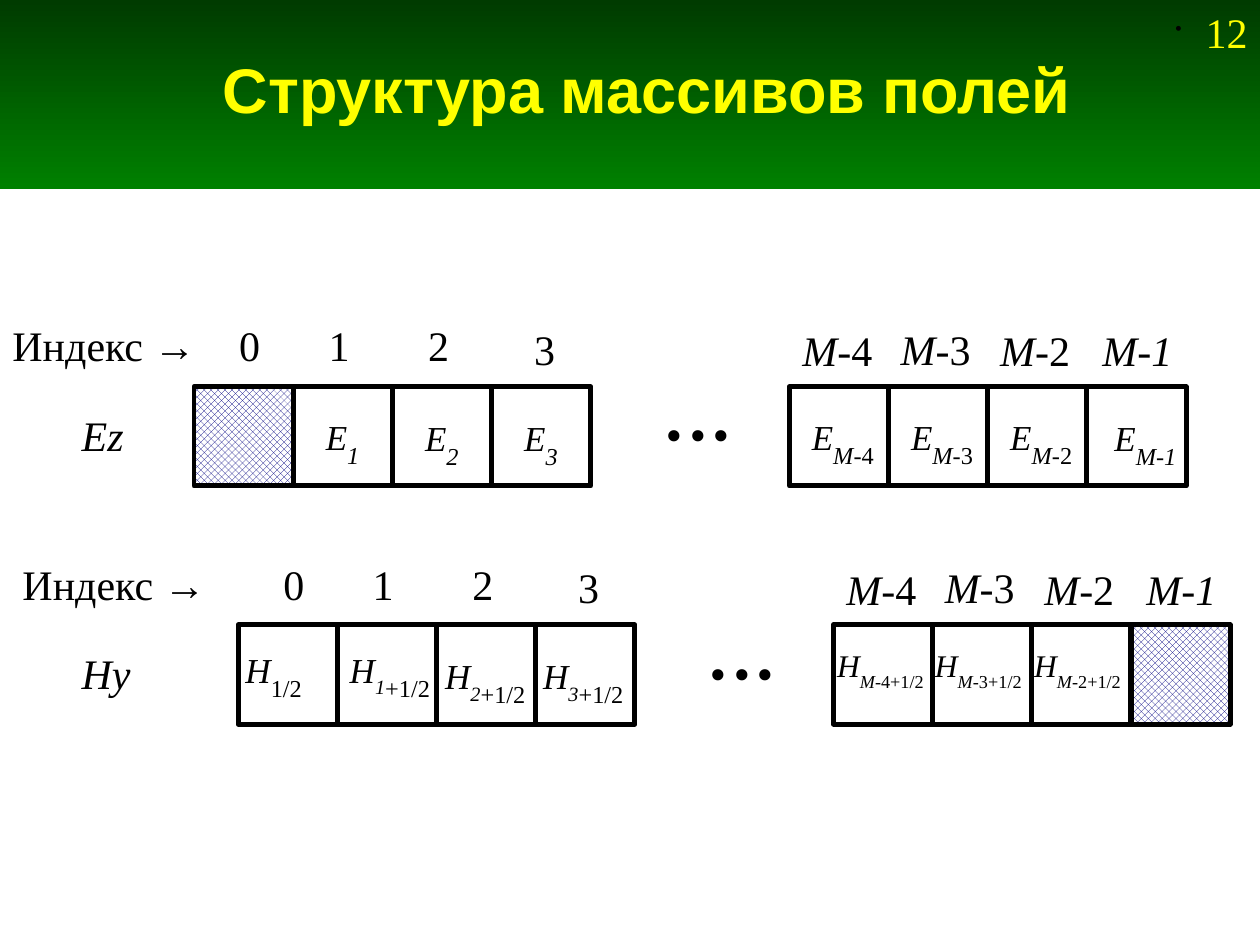
from dataclasses import dataclass

from lxml.etree import SubElement
from pptx import Presentation
from pptx.dml.color import RGBColor
from pptx.enum.dml import MSO_PATTERN
from pptx.enum.shapes import MSO_SHAPE
from pptx.enum.text import MSO_ANCHOR, MSO_AUTO_SIZE, PP_ALIGN
from pptx.oxml.ns import qn
from pptx.util import Inches, Pt

COLORS = {
    "header_top": "003B00",
    "header_bottom": "008000",
    "accent": "FFFF00",
    "ink": "000000",
    "paper": "FFFFFF",
    "hatch": "000080",
}
CELL = 2 / 2.54
COLUMNS = (0, 1, 2, 3, 6, 7, 8, 9)
INDEXES = [
    (0.26, -0.58, 0.36, "", "0"),
    (0.97, -0.58, 0.36, "", "1"),
    (1.76, -0.58, 0.36, "", "2"),
    (2.6, -0.55, 0.36, "", "3"),
    (4.73, -0.54, 0.77, "M", "-4"),
    (5.51, -0.55, 0.77, "M", "-3"),
    (6.3, -0.54, 0.77, "M", "-2"),
    (7.11, -0.54, 0.78, "M-1", ""),
]


@dataclass
class Value:
    """Subscripted value with its offset from the corner of its cell."""
    column: int
    dx: float
    dy: float
    width: float
    height: float
    italic: str
    plain: str = ""
    sizes: tuple = (20, 24, 24)


E_VALUES = [
    Value(1, 0.16, 0.12, 0.47, 0.66, "1"),
    Value(2, 0.16, 0.13, 0.59, 0.83, "2"),
    Value(3, 0.16, 0.13, 0.51, 0.66, "3"),
    Value(6, 0.08, 0.12, 0.71, 0.63, "M", "-4"),
    Value(7, 0.08, 0.12, 0.71, 0.63, "M", "-3"),
    Value(8, 0.08, 0.12, 0.71, 0.63, "M", "-2"),
    Value(9, 0.12, 0.13, 0.74, 0.59, "M-1"),
]
NEAR, FAR = (20, 20, 24), (18, 18, 18)
H_VALUES = [
    Value(0, -0.04, 0.08, 0.94, 0.66, "", "1/2", NEAR),
    Value(1, 0, 0.08, 0.94, 0.66, "1", "+1/2", NEAR),
    Value(2, -0.03, 0.13, 0.94, 0.66, "2", "+1/2", NEAR),
    Value(3, -0.04, 0.13, 0.94, 0.66, "3", "+1/2", NEAR),
    Value(6, -0.07, 0.12, 1.18, 0.63, "M", "-4+1/2", FAR),
    Value(7, -0.08, 0.12, 1.18, 0.63, "M", "-3+1/2", FAR),
    Value(8, -0.08, 0.12, 0.96, 0.63, "M", "-2+1/2", FAR),
]


def rgb(name):
    """Return the named colour."""
    return RGBColor.from_string(COLORS[name])


def add_run(paragraph, text, size=24, font="Times New Roman", color="ink",
            bold=False, italic=False, subscript=False):
    """Append a formatted run unless its text is empty."""
    if not text:
        return
    run = paragraph.add_run()
    run.text = text
    run.font.size = Pt(size)
    run.font.name = font
    run.font.bold = bold
    run.font.italic = italic
    run.font.color.rgb = rgb(color)
    if subscript:
        run.font._element.set("baseline", "-33000")


def add_box(slide, left, top, width, height, wrap=False):
    """Add a text box and return its first paragraph."""
    shape = slide.shapes.add_textbox(*map(Inches, (left, top, width, height)))
    frame = shape.text_frame
    frame.word_wrap = wrap
    frame.auto_size = MSO_AUTO_SIZE.SHAPE_TO_FIT_TEXT
    return frame.paragraphs[0]


def add_rectangle(slide, left, top, width, height):
    """Add a rectangle without a shadow."""
    shape = slide.shapes.add_shape(
        MSO_SHAPE.RECTANGLE, *map(Inches, (left, top, width, height)))
    shape.shadow.inherit = False
    return shape


def add_header(slide, left, top, width, height):
    """Draw the gradient band, the title and the slide number."""
    band = add_rectangle(slide, left, top, width, height)
    band.line.fill.background()
    band.fill.gradient()
    band.fill.gradient_angle = 270
    for stop, color in zip(band.fill.gradient_stops, ("header_top", "header_bottom")):
        stop.color.rgb = rgb(color)

    title = slide.shapes.title
    title.element.addprevious(band.element)
    title.left, title.top = Inches(left + 0.67), Inches(top + 0.05)
    title.width, title.height = Inches(8.93), Inches(1.3)
    frame = title.text_frame
    frame.auto_size = MSO_AUTO_SIZE.NONE
    frame.vertical_anchor = MSO_ANCHOR.MIDDLE
    paragraph = frame.paragraphs[0]
    paragraph.alignment = PP_ALIGN.CENTER
    add_run(paragraph, "Структура массивов полей", size=36, font="Arial",
            color="accent", bold=True)

    number = add_box(slide, left + 9.23, top, 1.64, 0.5, wrap=True)
    add_run(number, "12", color="accent")
    properties = number._p.get_or_add_pPr()
    properties.set("marL", str(Inches(0.24)))
    properties.set("indent", str(Inches(-0.24)))
    bullet_color = SubElement(properties, qn("a:buClr"))
    SubElement(bullet_color, qn("a:srgbClr"), val=COLORS["ink"])
    SubElement(properties, qn("a:buSzPct"), val="45000")
    SubElement(properties, qn("a:buChar"), char="•")


def add_cell(slide, left, top, hatched):
    """Draw one array cell, hatched when it is unused."""
    cell = add_rectangle(slide, left, top, CELL, CELL)
    cell.line.color.rgb = rgb("ink")
    cell.line.width = Pt(2.83)
    if hatched:
        cell.fill.patterned()
        cell.fill.pattern = MSO_PATTERN.OUTLINED_DIAMOND
        cell.fill.fore_color.rgb = rgb("hatch")
        cell.fill.back_color.rgb = rgb("paper")
    else:
        cell.fill.solid()
        cell.fill.fore_color.rgb = rgb("paper")


def add_array(slide, left, top, letter, values, unused):
    """Draw the cells, indexes, ellipsis and values of one field array."""
    for column in sorted(COLUMNS, key=lambda column: column == unused):
        add_cell(slide, left + column * CELL, top, column == unused)
    for dx, dy, width, italic, plain in INDEXES:
        paragraph = add_box(slide, left + dx, top + dy, width, 0.5)
        add_run(paragraph, italic, italic=True)
        add_run(paragraph, plain)
    add_run(add_box(slide, left + 3.62, top - 0.37, 0.87, 1, wrap=True), "...", size=54)
    for value in values:
        paragraph = add_box(slide, left + value.column * CELL + value.dx,
                            top + value.dy, value.width, value.height, wrap=True)
        letter_size, italic_size, plain_size = value.sizes
        add_run(paragraph, letter, size=letter_size, italic=True)
        add_run(paragraph, value.italic, size=italic_size, italic=True, subscript=True)
        add_run(paragraph, value.plain, size=plain_size, subscript=True)


def add_row_labels(slide, left, top, name, width, height, index_left):
    """Write the index caption and the array name beside a row."""
    add_run(add_box(slide, index_left, top - 0.58, 1.66, 0.5), "Индекс →")
    add_run(add_box(slide, left, top + 0.13, width, height, wrap=True), name, italic=True)


def main():
    """Build and save the presentation."""
    presentation = Presentation()
    presentation.slide_width, presentation.slide_height = Inches(10), Inches(7.5)
    slide = presentation.slides.add_slide(presentation.slide_layouts[5])
    add_header(slide, 0, 0, 10, 1.5)
    add_array(slide, 1.89, 4.96, "H", H_VALUES, unused=9)
    add_array(slide, 1.54, 3.07, "E", E_VALUES, unused=0)
    add_row_labels(slide, 0.55, 3.07, "Ez", 0.55, 0.5, index_left=0)
    add_row_labels(slide, 0.55, 4.96, "Hy", 0.63, 0.9, index_left=0.08)
    presentation.save("out.pptx")


if __name__ == "__main__":
    main()
